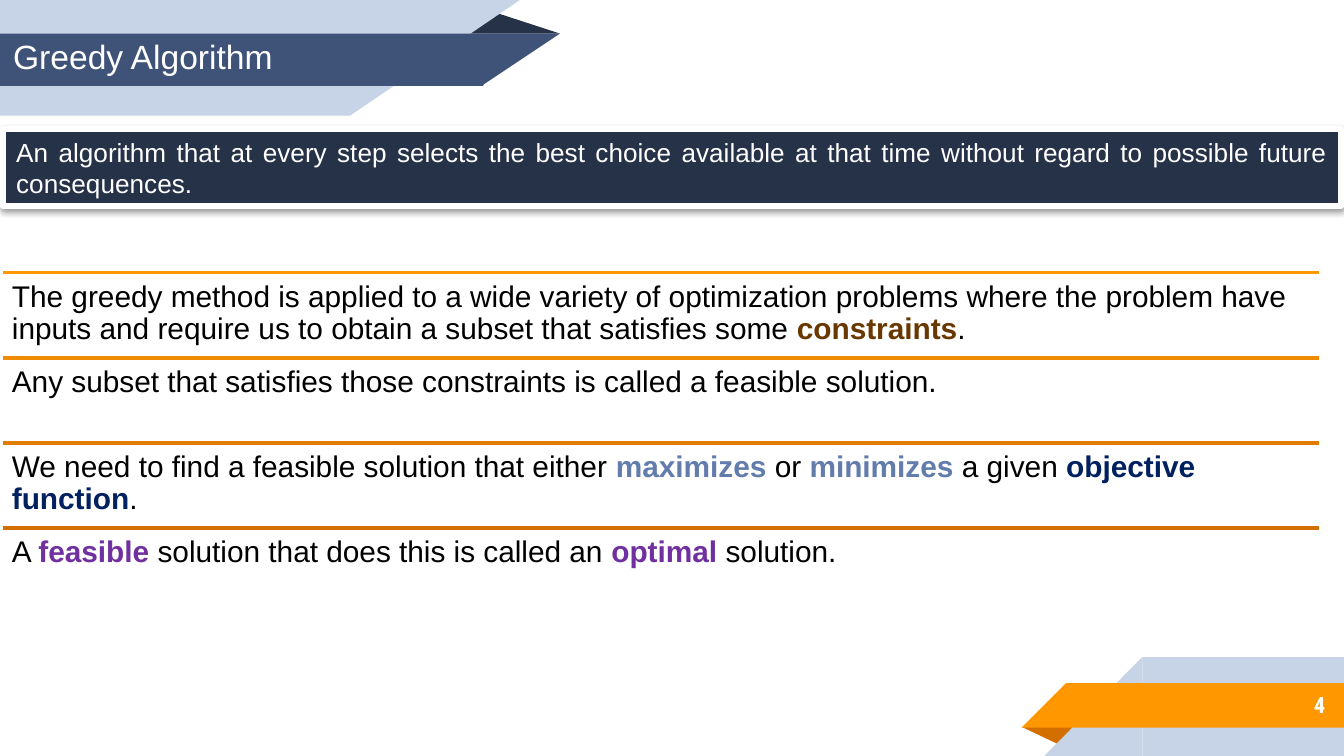
from dataclasses import dataclass

from lxml import etree
from pptx import Presentation
from pptx.dml.color import RGBColor
from pptx.enum.shapes import MSO_CONNECTOR, MSO_SHAPE
from pptx.enum.text import MSO_ANCHOR, PP_ALIGN
from pptx.oxml.ns import qn
from pptx.util import Pt

RECT = MSO_SHAPE.RECTANGLE
FOLD = MSO_SHAPE.ISOSCELES_TRIANGLE
CORNER = MSO_SHAPE.RIGHT_TRIANGLE
STRAIGHT = MSO_CONNECTOR.STRAIGHT
MIDDLE, TOP = MSO_ANCHOR.MIDDLE, MSO_ANCHOR.TOP
LEFT, RIGHT, JUSTIFY = PP_ALIGN.LEFT, PP_ALIGN.RIGHT, PP_ALIGN.JUSTIFY


@dataclass(frozen=True)
class Theme:
    navy: str = "263248"
    blue: str = "3F5378"
    pale: str = "C7D3E6"
    orange: str = "FF9800"
    rust: str = "D26F00"
    white: str = "FFFFFF"
    black: str = "000000"
    brown: str = "693800"
    steel: str = "627CAC"
    deep_blue: str = "002060"
    purple: str = "7030A0"
    rules: tuple = ("FF9800", "F08A00", "E17C00", "D26F00")
    font: str = "Arial"
    number_font: str = "Roboto Condensed"
    title_size: int = 18
    point_size: int = 16
    definition_size: int = 14
    number_size: int = 12


THEME = Theme()

# Each point is a list of (text, highlight colour or None)
POINTS = [
    [("The greedy method is applied to a wide variety of optimization problems "
      "where the problem have inputs and require us to obtain a subset that "
      "satisfies some ", None), ("constraints", THEME.brown), (".", None)],
    [("Any subset that satisfies those constraints is called a feasible solution.", None)],
    [("We need to find a feasible solution that either ", None),
     ("maximizes", THEME.steel), (" or ", None), ("minimizes", THEME.steel),
     (" a given ", None), ("objective function", THEME.deep_blue), (".", None)],
    [("A ", None), ("feasible", THEME.purple),
     (" solution that does this is called an ", None),
     ("optimal", THEME.purple), (" solution.", None)],
]
DEFINITION = ("An algorithm that at every step selects the best choice available at "
              "that time without regard to possible future consequences.")


def points(*lengths):
    return [Pt(length) for length in lengths]


def add_block(slide, preset, box, color, flip=False, turn=0):
    block = slide.shapes.add_shape(preset, *points(*box))
    block.shadow.inherit = False
    block.fill.solid()
    block.fill.fore_color.rgb = RGBColor.from_string(color)
    block.line.fill.background()
    block.rotation = turn
    if flip:
        block._element.spPr.find(qn("a:xfrm")).set("flipH", "1")
    return block


def style_run(run, size, color, font=THEME.font, bold=False):
    run.font.name = font
    run.font.size = Pt(size)
    run.font.bold = bold
    run.font.color.rgb = RGBColor.from_string(color)


def set_frame(frame, anchor, inset_x, inset_y):
    frame.word_wrap = True
    frame.vertical_anchor = anchor
    frame.margin_left = frame.margin_right = Pt(inset_x)
    frame.margin_top = frame.margin_bottom = Pt(inset_y)


def write_line(frame, text, align, size, color, **style):
    frame.text = text
    paragraph = frame.paragraphs[0]
    paragraph.alignment = align
    style_run(paragraph.runs[0], size, color, **style)


def add_label(slide, box, text, align, size, **style):
    label = slide.shapes.add_textbox(*points(*box))
    set_frame(label.text_frame, MIDDLE, 7.2, 7.2)
    write_line(label.text_frame, text, align, size, THEME.white, **style)


def add_rule(slide, left, top, width, color):
    rule = slide.shapes.add_connector(STRAIGHT, *points(left, top, left + width, top))
    rule.line.color.rgb = RGBColor.from_string(color)
    rule.line.width = Pt(2)
    etree.SubElement(rule._element.spPr, qn("a:effectLst"))


def add_point(slide, box, pieces):
    point = slide.shapes.add_textbox(*points(*box))
    set_frame(point.text_frame, TOP, 4.8, 4.8)
    paragraph = point.text_frame.paragraphs[0]
    paragraph.line_spacing = 0.9
    for text, highlight in pieces:
        run = paragraph.add_run()
        run.text = text
        style_run(run, THEME.point_size, highlight or THEME.black, bold=bool(highlight))


def add_title_ribbon(slide):
    fold = add_block(slide, FOLD, (246, 6, 54, 12), THEME.navy)
    fold.adjustments[0] = 0.32
    for preset, box, color in (
        (RECT, (0, 0, 187.5, 62), THEME.pale),
        (CORNER, (187.5, 0, 91, 62), THEME.pale),
        (RECT, (0, 18, 259, 28), THEME.blue),
        (CORNER, (258, 18, 42, 28), THEME.blue),
    ):
        add_block(slide, preset, box, color, flip=True, turn=180)
    add_label(slide, (0, 0, 283, 60.5), "Greedy Algorithm", LEFT, THEME.title_size)


def add_number_ribbon(slide):
    fold = add_block(slide, FOLD, (547.5, 389.5, 31, 10), THEME.rust, turn=180)
    fold.adjustments[0] = 0.32
    for preset, box, color in (
        (RECT, (612, 352, 108, 53), THEME.pale),
        (CORNER, (559.5, 352, 52.5, 53), THEME.pale),
        (RECT, (571, 366, 149, 23.8), THEME.orange),
        (CORNER, (547.3, 366, 23.8, 23.8), THEME.orange),
    ):
        add_block(slide, preset, box, color, flip=True)
    add_label(slide, (600, 365, 117, 25), "4", RIGHT, THEME.number_size,
              font=THEME.number_font, bold=True)


def add_points(slide, left=1.6, top=146, width=705, pitch=45.6):
    for row, (pieces, color) in enumerate(zip(POINTS, THEME.rules)):
        row_top = top + row * pitch
        add_rule(slide, left, row_top, width, color)
        add_point(slide, (left, row_top, width, pitch), pieces)


def add_definition(slide):
    panel = add_block(slide, RECT, (1.6, 69.2, 717, 41.2), THEME.navy)
    panel.line.color.rgb = RGBColor.from_string(THEME.white)
    panel.line.width = Pt(3)
    set_frame(panel.text_frame, MIDDLE, 7.2, 3.6)
    write_line(panel.text_frame, DEFINITION, JUSTIFY, THEME.definition_size, THEME.white)
    # Soft shadow straight below the panel
    effects = panel._element.spPr.find(qn("a:effectLst"))
    shadow = etree.SubElement(effects, qn("a:outerShdw"), blurRad=str(Pt(3.1)),
                              dist=str(Pt(1.6)), dir="5400000", rotWithShape="0")
    shade = etree.SubElement(shadow, qn("a:srgbClr"), val=THEME.black)
    etree.SubElement(shade, qn("a:alpha"), val="38000")


def main():
    deck = Presentation()
    deck.slide_width, deck.slide_height = points(720, 405)
    slide = deck.slides.add_slide(deck.slide_layouts[6])
    add_title_ribbon(slide)
    add_number_ribbon(slide)
    add_points(slide)
    add_definition(slide)
    deck.save("out.pptx")


if __name__ == "__main__":
    main()
